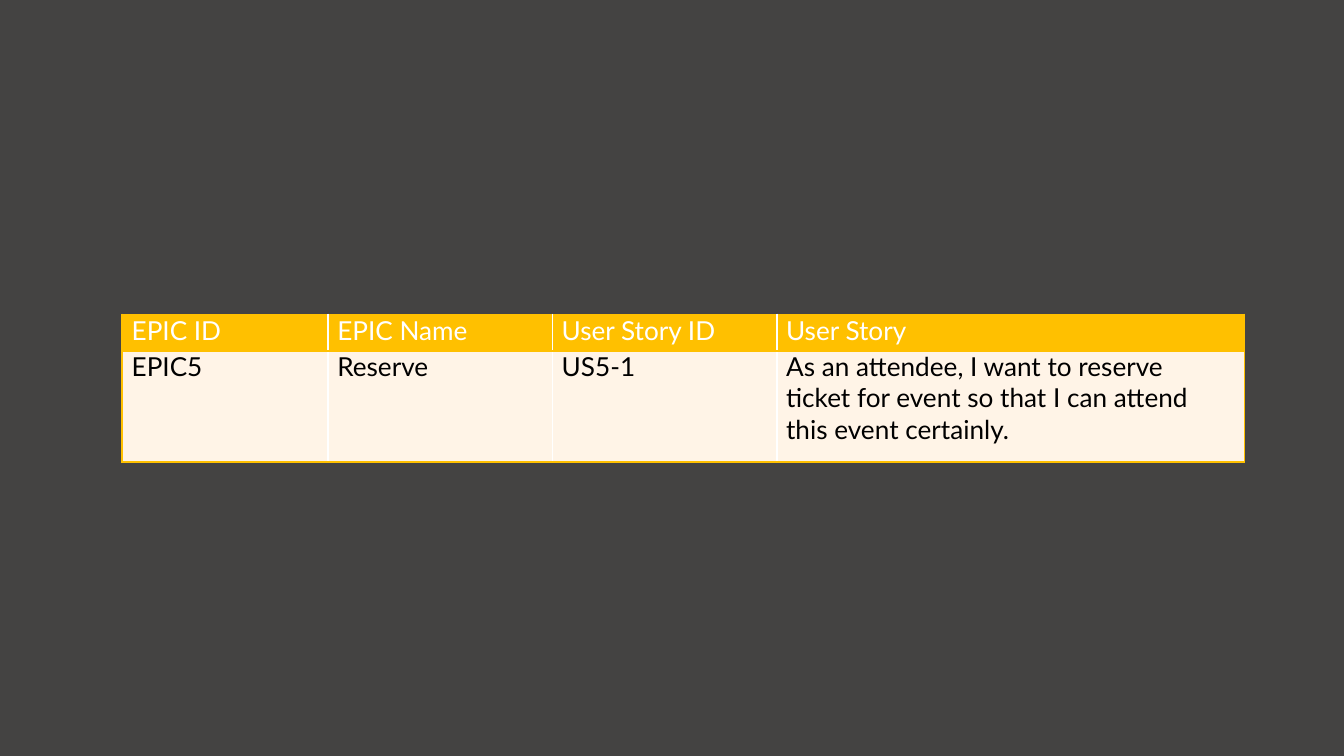
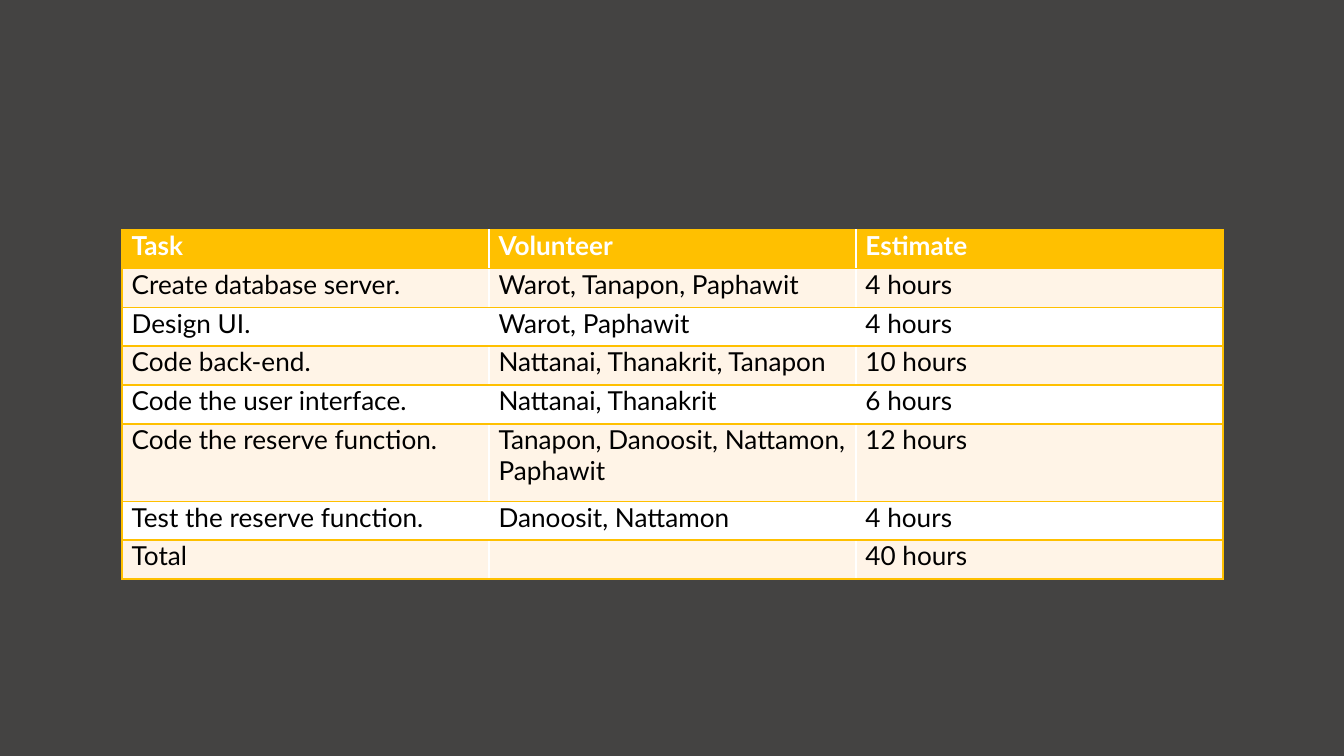
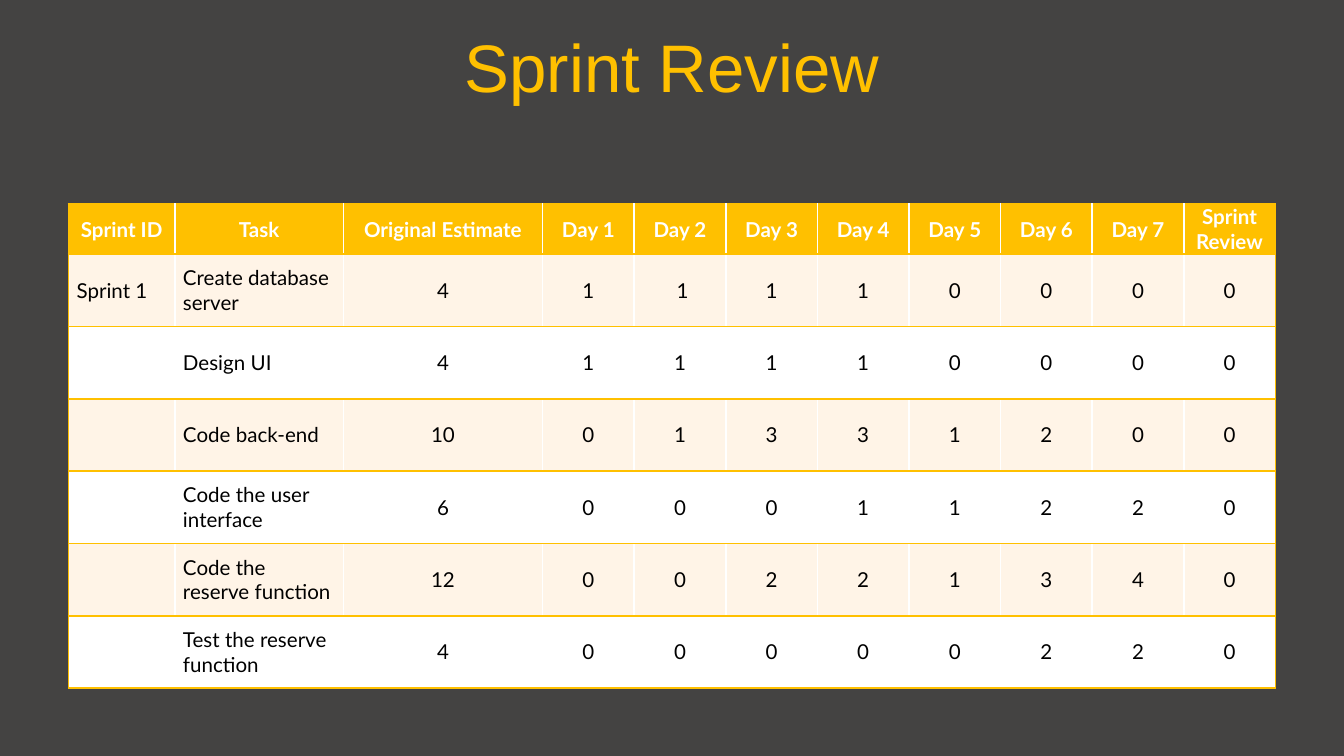
import pptx
import pptx.util
import pptx.dml.color
import pptx.enum.text
import pptx.oxml.ns
import lxml.etree

Inches, Pt = pptx.util.Inches, pptx.util.Pt
RGBColor = pptx.dml.color.RGBColor
Align, Anchor = pptx.enum.text.PP_ALIGN, pptx.enum.text.MSO_ANCHOR
qn = pptx.oxml.ns.qn

# Shared look
GOLD = RGBColor(0xFF, 0xC0, 0x00)
CHARCOAL = RGBColor(0x44, 0x43, 0x42)
CREAM = RGBColor(0xFF, 0xF4, 0xE7)
WHITE = RGBColor(0xFF, 0xFF, 0xFF)
BLACK = RGBColor(0x00, 0x00, 0x00)
TABLE_FONT, TITLE_FONT = "Lato", "Arial"
TITLE_ONLY, BLANK = 5, 6

# Content
STORIES = [
    ("EPIC ID", "EPIC Name", "User Story ID", "User Story"),
    ("EPIC5", "Reserve", "US5-1",
     "As an attendee, I want to reserve \nticket for event so that I can attend this event certainly."),
]
TASKS = [
    ("Task", "Volunteer", "Estimate"),
    ("Create database server.", "Warot, Tanapon, Paphawit", "4 hours"),
    ("Design UI.", "Warot, Paphawit", "4 hours"),
    ("Code back-end.", "Nattanai, Thanakrit, Tanapon", "10 hours"),
    ("Code the user interface.", "Nattanai, Thanakrit", "6 hours"),
    ("Code the reserve function.", "Tanapon, Danoosit, Nattamon, Paphawit", "12 hours"),
    ("Test the reserve function.", "Danoosit, Nattamon", "4 hours"),
    ("Total", "", "40 hours"),
]
REVIEW_TITLE = "Sprint Review"
REVIEW = [
    ("Sprint ID", "Task", "Original Estimate", *(f"Day {day}" for day in range(1, 8)), "Sprint Review"),
    ("Sprint 1", "Create database server", "4", "1", " 1", "1", "1", "0", "0", "0", "0"),
    ("", "Design UI", "4", "1", "1", "1", "1", "0", "0", "0", "0"),
    ("", "Code back-end", "10", "0", "1", "3", "3", "1", "2", "0", "0"),
    ("", "Code the user interface", "6", "0", "0", "0", "1", "1", "2", "2", "0"),
    ("", "Code the reserve function", "12", "0", "0", "2", "2", "1", "3", "4", "0"),
    ("", "Test the reserve function", "4", "0", "0", "0", "0", "0", "2", "2", "0"),
]

# Each table: place in inches, relative column and row sizes, text style
STORY_STYLE = dict(place=(0.91, 2.34, 8.35, 1.1), columns=[1.53, 1.67, 1.67, 3.48],
                   rows=[0.27, 0.83], size=14, inset=0.07, bold_header=False)
TASK_STYLE = dict(place=(0.91, 1.71, 8.19, 2.6), columns=[1] * 3,
                  rows=[1] * 5 + [2, 1, 1], size=14, inset=0.07)
REVIEW_STYLE = dict(place=(0.51, 1.52, 8.98, 3.58), columns=[0.79, 1.25, 1.48] + [0.68] * 8,
                    rows=[0.35] + [0.54] * 6, size=11, inset=0.06,
                    anchor=Anchor.MIDDLE, center_from=2)


def add_borders(cell, sides):
    properties = cell._tc.get_or_add_tcPr()
    for side in sides:
        line = lxml.etree.SubElement(properties, qn(f"a:ln{side}"), w=str(Pt(1)))
        fill = lxml.etree.SubElement(line, qn("a:solidFill"))
        lxml.etree.SubElement(fill, qn("a:srgbClr"), val=str(GOLD))


def write_cell(cell, text, size, color, bold, align):
    para = cell.text_frame.paragraphs[0]
    para.alignment = align
    if not text:
        # An empty cell keeps the row as low as its text size
        lxml.etree.SubElement(para._p, qn("a:endParaRPr"), sz=str(size * 100))
        return
    for number, part in enumerate(text.split("\n")):
        if number:
            para.add_line_break()
        span = para.add_run()
        span.text = part
        span.font.name = TABLE_FONT
        span.font.size = Pt(size)
        span.font.bold = bold
        span.font.color.rgb = color


def add_grid(page, content, place, columns, rows, size, inset,
             bold_header=True, anchor=Anchor.TOP, center_from=None):
    left, top, width, height = place
    table = page.shapes.add_table(len(rows), len(columns), *map(Inches, place)).table
    for column, share in zip(table.columns, columns):
        column.width = Inches(width * share / sum(columns))
    for row, share in zip(table.rows, rows):
        row.height = Inches(height * share / sum(rows))

    for r, texts in enumerate(content):
        header = r == 0
        for c, text in enumerate(texts):
            cell = table.cell(r, c)
            sides = ("L" if c == 0 else "") + ("R" if c == len(columns) - 1 else "") + "TB"
            add_borders(cell, sides)
            cell.fill.solid()
            cell.fill.fore_color.rgb = GOLD if header else CREAM if r % 2 else WHITE
            cell.margin_left = cell.margin_right = Inches(inset)
            cell.margin_top = cell.margin_bottom = 0
            cell.vertical_anchor = anchor
            centered = center_from is not None and (header or c >= center_from)
            write_cell(cell, text, size, WHITE if header else BLACK,
                       header and bold_header, Align.CENTER if centered else Align.LEFT)


def set_title(page, text):
    box = page.shapes.title
    box.left, box.top, box.width, box.height = map(Inches, (0, 0.17, 10, 0.63))
    box.text_frame.vertical_anchor = Anchor.MIDDLE
    para = box.text_frame.paragraphs[0]
    para.alignment = Align.CENTER
    span = para.add_run()
    span.text = text
    span.font.name = TITLE_FONT
    span.font.size = Pt(36)
    span.font.color.rgb = GOLD


def main():
    deck = pptx.Presentation()
    deck.slide_width, deck.slide_height = Inches(10), Inches(5.625)
    backdrop = deck.slide_master.background.fill
    backdrop.solid()
    backdrop.fore_color.rgb = CHARCOAL

    for title, content, style in [(None, STORIES, STORY_STYLE),
                                  (None, TASKS, TASK_STYLE),
                                  (REVIEW_TITLE, REVIEW, REVIEW_STYLE)]:
        page = deck.slides.add_slide(deck.slide_layouts[TITLE_ONLY if title else BLANK])
        if title:
            set_title(page, title)
        add_grid(page, content, **style)
    deck.save("out.pptx")


if __name__ == "__main__":
    main()
